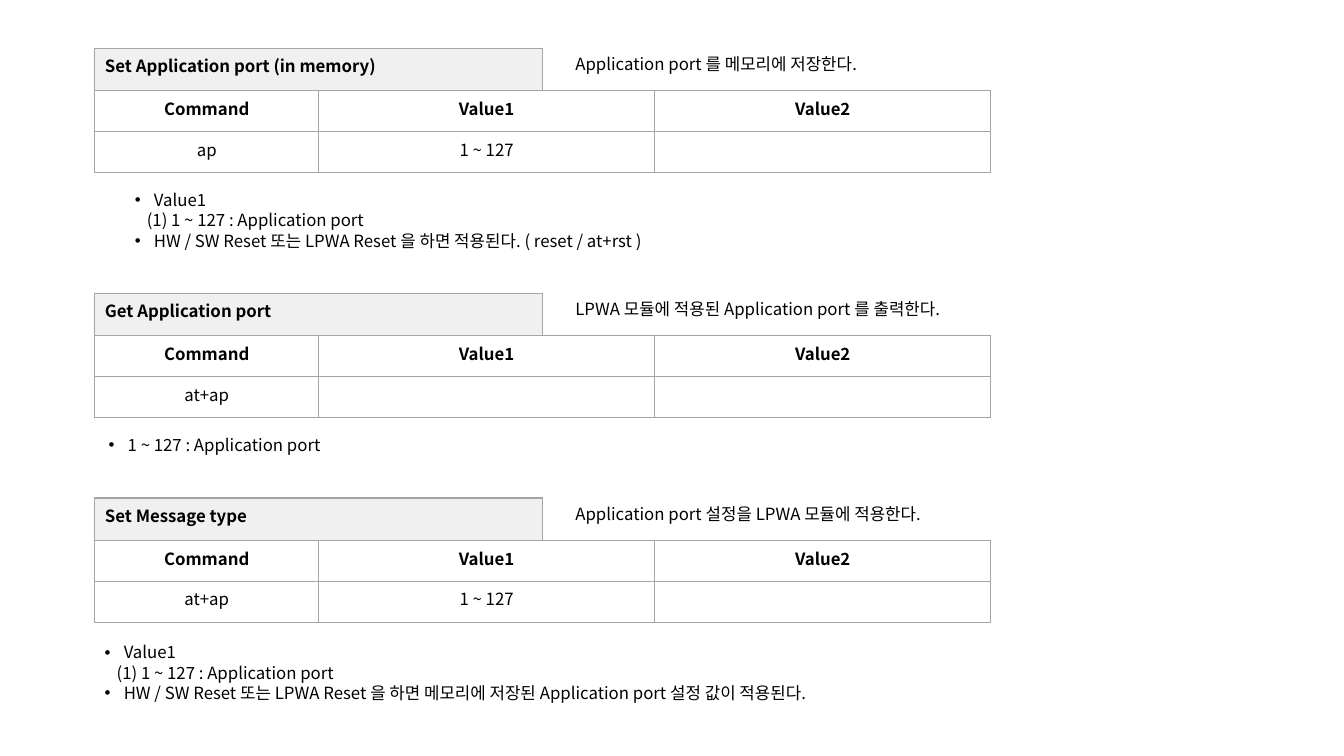
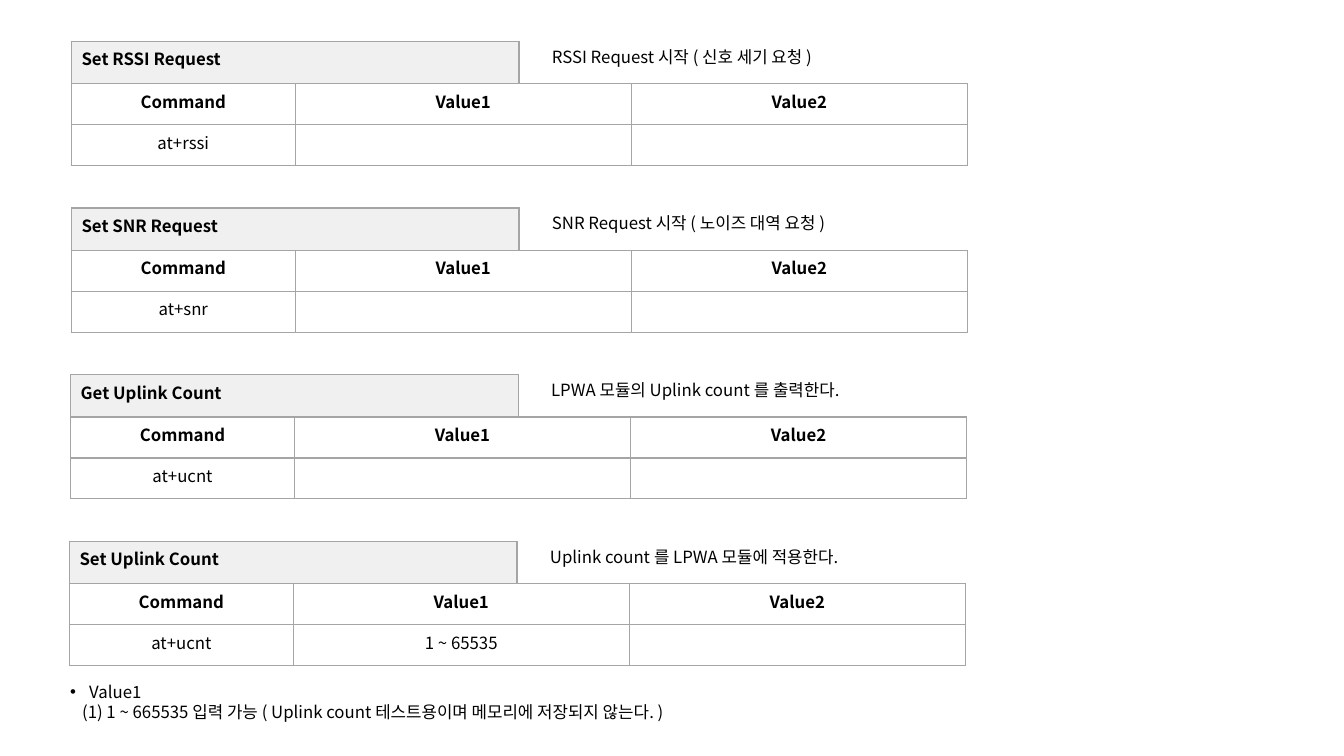
from dataclasses import dataclass, field
from typing import Any, NamedTuple, Optional

import lxml.etree
import pptx
import pptx.dml.color
import pptx.enum.text
import pptx.oxml.ns
import pptx.util

Cm = pptx.util.Cm
Pt = pptx.util.Pt
RGB = pptx.dml.color.RGBColor
PP_ALIGN = pptx.enum.text.PP_ALIGN
qn = pptx.oxml.ns.qn


@dataclass(frozen=True)
class Theme:
    font: str = "Noto Sans CJK KR"
    size: Any = Pt(12)
    line_spacing: Any = Pt(14.6)
    border: Any = Pt(1)
    text: str = "000000"
    title_fill: str = "F0F0F0"
    grid: str = "A5A5A5"


THEME = Theme()

# Lengths in centimetres
SLIDE_SIZE = (33.87, 19.05)
TITLE_WIDTH, TITLE_HEIGHT = 11.28, 1.07
COLUMNS = (5.64, 8.47, 8.47)
ROW_HEIGHT = 1.03
DESCRIPTION_OFFSET = 11.86
BULLET_INDENT, DETAIL_INDENT = 0.48, 0.3
BOX_PADDING, LINE_HEIGHT = 0.25, 0.515
HEADERS = ("Command", "Value1", "Value2")


class Line(NamedTuple):
    text: str
    indent: float = 0
    bullet: bool = False


class Note(NamedTuple):
    left: float
    top: float
    width: float
    lines: list[Line]


@dataclass(frozen=True)
class Command:
    left: float
    top: float
    title: str
    description: str
    description_width: float
    name: str
    value1: str = ""
    note: Optional[Note] = field(default=None)


def bullet(text: str) -> Line:
    return Line(text, BULLET_INDENT, True)


def detail(text: str) -> Line:
    return Line(text, DETAIL_INDENT)


def write(p: Any, text: str, bold: bool = False) -> None:
    """Put themed text in a paragraph; an empty one only gets its type size."""
    if not text:
        lxml.etree.SubElement(p._p, qn("a:endParaRPr"), sz=str(int(THEME.size.pt * 100)))
        return
    r = p.add_run()
    r.text = text
    for name, value in {"size": THEME.size, "bold": bold, "name": THEME.font}.items():
        setattr(r.font, name, value)
    r.font.color.rgb = RGB.from_string(THEME.text)
    lxml.etree.SubElement(r.font._element, qn("a:ea"), typeface=THEME.font)


def add_borders(cell: Any) -> None:
    tc_pr = cell._tc.get_or_add_tcPr()
    for side in ("lnL", "lnR", "lnT", "lnB"):
        ln = lxml.etree.SubElement(tc_pr, qn(f"a:{side}"), w=str(int(THEME.border)))
        fill = lxml.etree.SubElement(ln, qn("a:solidFill"))
        lxml.etree.SubElement(fill, qn("a:srgbClr"), val=THEME.grid)


def add_grid(s: Any, left: float, top: float, columns: tuple[float, ...], row_height: float,
             rows: list[tuple[str, ...]], fill: str = "",
             align: Any = PP_ALIGN.CENTER) -> None:
    """Draw a bordered table whose first row is bold."""
    table = s.shapes.add_table(len(rows), len(columns), Cm(left), Cm(top),
                               Cm(sum(columns)), Cm(row_height * len(rows))).table
    table.first_row = table.horz_banding = False
    for column, width in zip(table.columns, columns):
        column.width = Cm(width)
    for i, texts in enumerate(rows):
        table.rows[i].height = Cm(row_height)
        for j, text in enumerate(texts):
            cell = table.cell(i, j)
            add_borders(cell)
            if fill:
                cell.fill.solid()
                cell.fill.fore_color.rgb = RGB.from_string(fill)
            else:
                cell.fill.background()
            p = cell.text_frame.paragraphs[0]
            p.alignment = align
            write(p, text, bold=i == 0)


def add_lines(s: Any, left: float, top: float, width: float, lines: list[Line]) -> None:
    height = BOX_PADDING + LINE_HEIGHT * len(lines)
    tf = s.shapes.add_textbox(Cm(left), Cm(top), Cm(width), Cm(height)).text_frame
    tf.word_wrap = True
    for i, line in enumerate(lines):
        p = tf.add_paragraph() if i else tf.paragraphs[0]
        p_pr = p._p.get_or_add_pPr()
        p_pr.set("marL", str(int(Cm(line.indent))))
        if line.bullet:
            p_pr.set("indent", str(-int(Cm(line.indent))))
            lxml.etree.SubElement(p_pr, qn("a:buFont"), typeface="Arial")
            lxml.etree.SubElement(p_pr, qn("a:buChar"), char="•")
        p.line_spacing = THEME.line_spacing
        write(p, line.text)


def add_command(s: Any, c: Command) -> None:
    add_grid(s, c.left, c.top, (TITLE_WIDTH,), TITLE_HEIGHT, [(c.title,)],
             THEME.title_fill, PP_ALIGN.LEFT)
    add_lines(s, c.left + DESCRIPTION_OFFSET, c.top, c.description_width,
              [Line(c.description)])
    add_grid(s, c.left, c.top + TITLE_HEIGHT, COLUMNS, ROW_HEIGHT,
             [HEADERS, (c.name, c.value1, "")])
    if c.note:
        add_lines(s, *c.note)


PORT_LINES = [bullet("Value1"), detail("(1) 1 ~ 127 : Application port")]
PORT_COMMANDS = [
    Command(2.39, 1.22, "Set Application port (in memory)",
            "Application port 를 메모리에 저장한다.", 8.23, "ap", "1 ~ 127",
            Note(3.15, 4.65, 14.12, PORT_LINES + [
                bullet("HW / SW Reset 또는 LPWA Reset 을 하면 적용된다. ( reset / at+rst )")])),
    Command(2.39, 7.39, "Get Application port",
            "LPWA 모듈에 적용된 Application port 를 출력한다.", 10.34, "at+ap",
            note=Note(2.49, 10.82, 6.27, [bullet("1 ~ 127 : Application port")])),
    Command(2.39, 12.55, "Set Message type",
            "Application port 설정을 LPWA 모듈에 적용한다.", 9.75, "at+ap", "1 ~ 127",
            Note(2.39, 16.05, 19.63, PORT_LINES + [
                bullet("HW / SW Reset 또는 LPWA Reset 을 하면 메모리에 저장된 "
                       "Application port 설정 값이 적용된다.")])),
]

RADIO_TOPS = [1.04 + 4.2 * i for i in range(4)]
RADIO_COMMANDS = [
    Command(1.8, RADIO_TOPS[0], "Set RSSI Request",
            "RSSI Request 시작 ( 신호 세기 요청 )", 7.65, "at+rssi"),
    Command(1.8, RADIO_TOPS[1], "Set SNR Request",
            "SNR Request 시작 ( 노이즈 대역 요청 )", 8.05, "at+snr"),
    Command(1.78, RADIO_TOPS[2], "Get Uplink Count",
            "LPWA 모듈의 Uplink count 를 출력한다.", 8.23, "at+ucnt"),
    Command(1.75, RADIO_TOPS[3], "Set Uplink Count",
            "Uplink count 를 LPWA 모듈에 적용한다.", 8.23, "at+ucnt", "1 ~ 65535",
            Note(1.52, 17.04, 16.89, [
                bullet("Value1"),
                detail("(1) 1 ~ 665535 입력 가능 ( Uplink count 테스트용이며 "
                       "메모리에 저장되지 않는다. )")])),
]


def main() -> None:
    prs = pptx.Presentation()
    prs.slide_width, prs.slide_height = map(Cm, SLIDE_SIZE)
    for commands in (PORT_COMMANDS, RADIO_COMMANDS):
        s = prs.slides.add_slide(prs.slide_layouts[6])
        for command in commands:
            add_command(s, command)
    prs.save("out.pptx")


if __name__ == "__main__":
    main()
